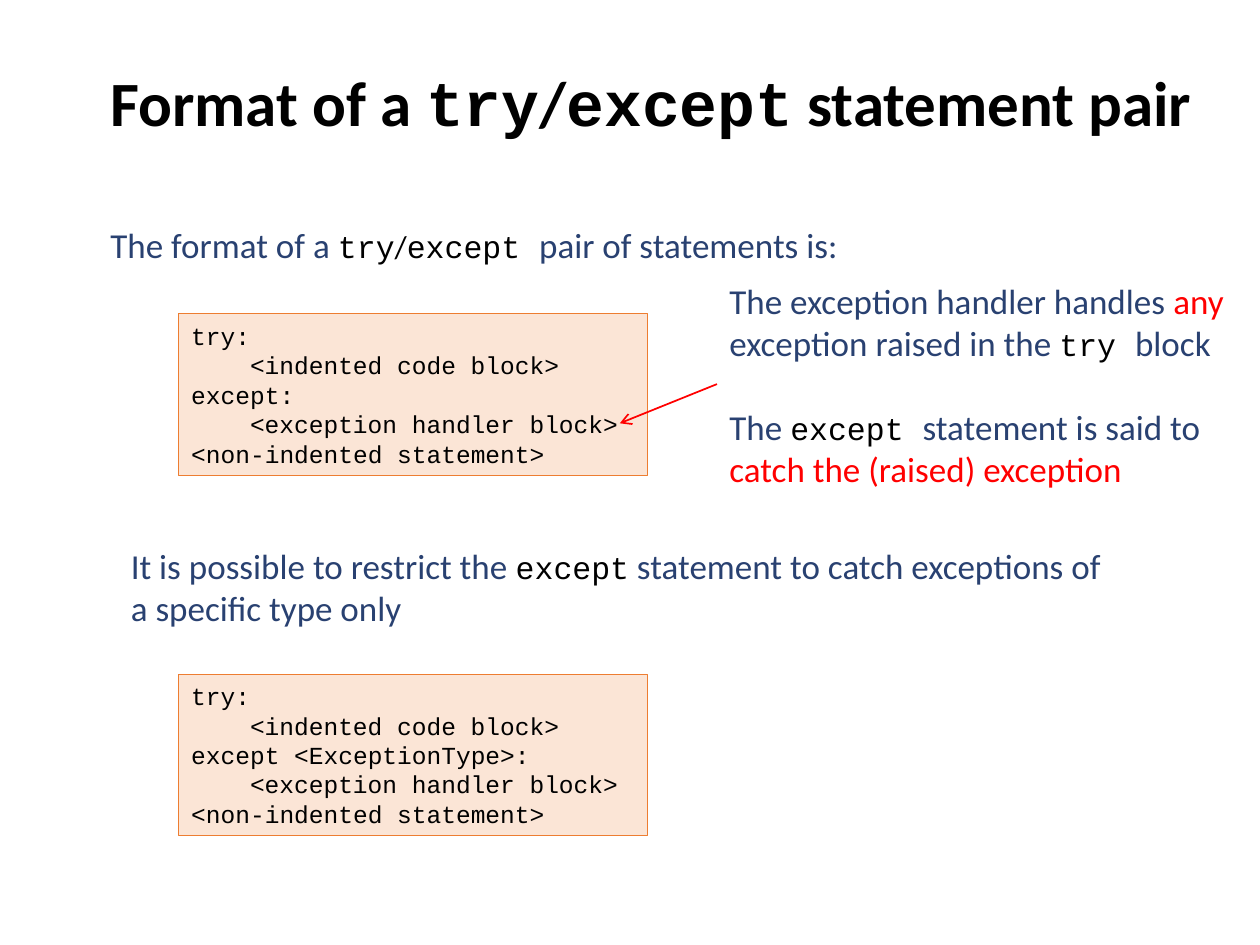
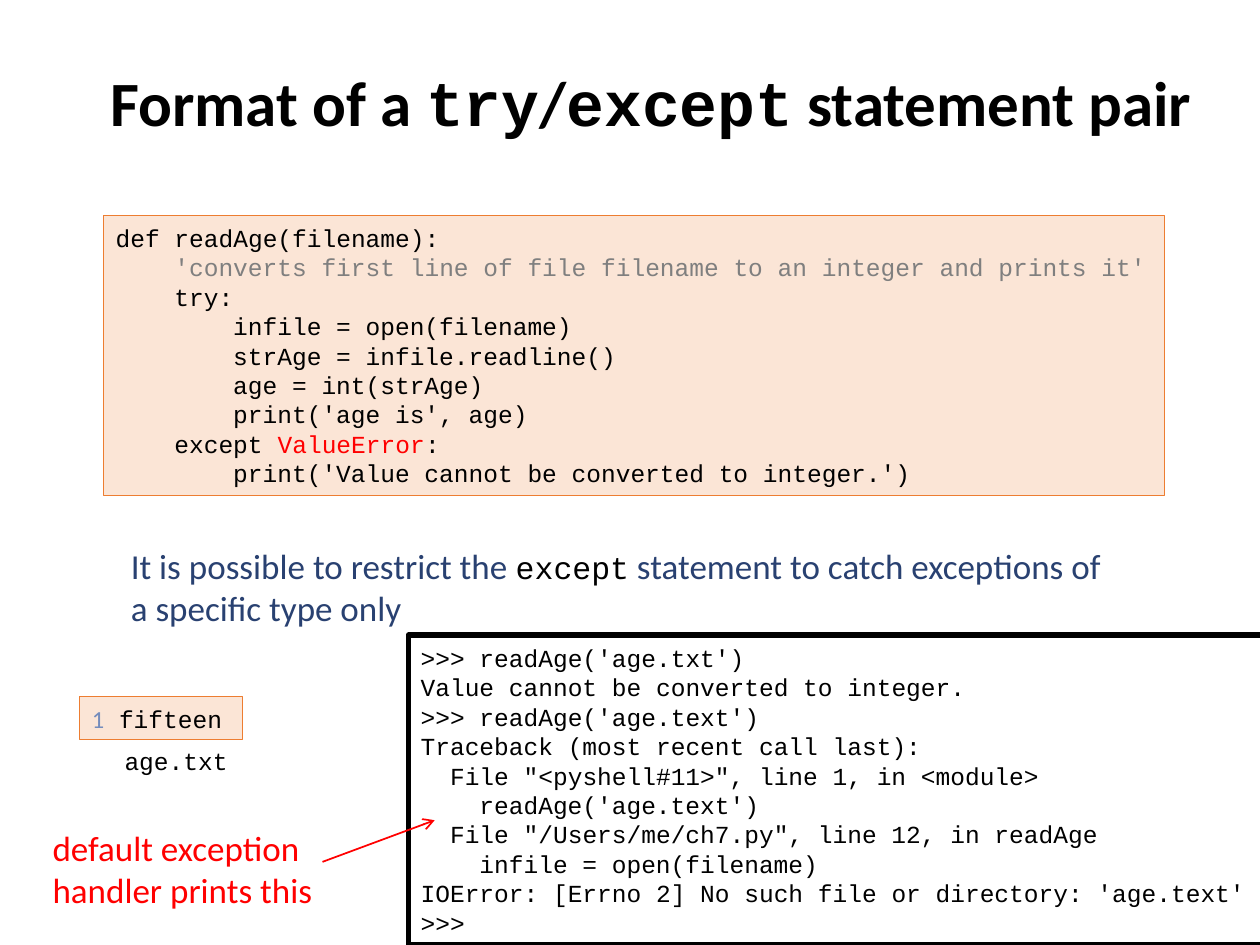
import pptx
import pptx.util
import pptx.dml.color
import pptx.enum.shapes
import pptx.enum.text
import pptx.oxml
import pptx.oxml.ns
import lxml.etree

Pt = pptx.util.Pt
RGB = pptx.dml.color.RGBColor
BLACK = RGB(0x00, 0x00, 0x00)
WHITE = RGB(0xFF, 0xFF, 0xFF)
NAVY = RGB(0x29, 0x41, 0x71)
RED = RGB(0xFF, 0x00, 0x00)
GREY = RGB(0x7F, 0x7F, 0x7F)
STEEL = RGB(0x74, 0x8C, 0xBC)
PEACH = RGB(0xFB, 0xE5, 0xD6)
ORANGE = RGB(0xED, 0x7D, 0x31)


def style(name, size, color, bold=False):
    """Return the format values of a run."""
    return {"name": name, "size": Pt(size), "bold": bold, "color": color}


HEAD = style("Calibri", 36, BLACK, True)
HEADMONO = style("Courier New", 36, BLACK, True)
BODY = style("Calibri", 20, NAVY)
ALERT = style("Calibri", 20, RED)
MONO = style("Courier New", 18, BLACK)
SLASH = style("Calibri", 18, BLACK)
CODE = style("Courier New", 14, BLACK)
QUOTE = style("Courier New", 14, GREY)
ERROR = style("Courier New", 14, RED)
COUNT = style("Calibri", 14, STEEL)
CHAR = 8.4  # advance of one 14 pt code letter

# A line is a list of (text, style) runs.
TITLE = [[("Format of a ", HEAD), ("try", HEADMONO), ("/", HEAD),
          ("except", HEADMONO), (" statement pair", HEAD)]]
INTRO = [[("The format of a ", BODY), ("try", MONO), ("/", SLASH),
          ("except ", MONO), ("pair of statements is:", BODY)]]
NOTE = [[("The exception handler handles ", BODY), ("any ", ALERT),
         ("exception raised in the ", BODY), ("try ", MONO), ("block", BODY)],
        [("The ", BODY), ("except ", MONO), ("statement is said to ", BODY),
         ("catch the (raised) exception", ALERT)]]
LIMIT = [[("It is possible to restrict the ", BODY), ("except", MONO),
          (" statement to catch exceptions of", BODY)],
         [("a specific type only", BODY)]]

# Code lines come as (indent in letters, text or runs).
READER = [
    (0, "def readAge(filename):"),
    (4, [("'converts first line of file filename to an integer"
          " and prints it'", QUOTE)]),
    (4, "try:"),
    (8, "infile = open(filename)"),
    (8, "strAge = infile.readline()"),
    (8, "age = int(strAge)"),
    (8, "print('age is', age)"),
    (4, [("except ", CODE), ("ValueError", ERROR), (":", CODE)]),
    (8, "print('Value cannot be converted to integer.')"),
]
SHELL = [
    (0, ">>> readAge('age.txt')"),
    (0, "Value cannot be converted to integer."),
    (0, ">>> readAge('age.text')"),
    (0, "Traceback (most recent call last):"),
    (2, "File \"<pyshell#11>\", line 1, in <module>"),
    (4, "readAge('age.text')"),
    (2, "File \"/Users/me/ch7.py\", line 12, in readAge"),
    (4, "infile = open(filename)"),
    (0, "IOError: [Errno 2] No such file or directory: 'age.text'"),
    (0, ">>> "),
]


def write(shape, lines, wrap=True, grow=True, gap=0):
    """Fill a shape with lines, left-aligned and centred in height."""
    frame = shape.text_frame
    fit = pptx.enum.text.MSO_AUTO_SIZE
    form = {"word_wrap": wrap,
            "vertical_anchor": pptx.enum.text.MSO_ANCHOR.MIDDLE,
            "auto_size": fit.SHAPE_TO_FIT_TEXT if grow else fit.NONE}
    for key, value in form.items():
        setattr(frame, key, value)
    for row, line in enumerate(lines):
        para = frame.add_paragraph() if row else frame.paragraphs[0]
        para.alignment = pptx.enum.text.PP_ALIGN.LEFT
        if row and gap:
            para.space_before = Pt(gap)
        for text, form in line:
            run = para.add_run()
            run.text = text
            for key, value in form.items():
                if key == "color":
                    run.font.color.rgb = value
                else:
                    setattr(run.font, key, value)


def label(slide, box, lines, **form):
    """Place plain text in a box."""
    shape = slide.shapes.add_textbox(*map(Pt, box))
    write(shape, lines, **form)


def panel(slide, box, code, fill=PEACH, edge=ORANGE, width=0.5):
    """Place a filled, outlined box of indented code."""
    shape = slide.shapes.add_shape(
        pptx.enum.shapes.MSO_SHAPE.RECTANGLE, *map(Pt, box))
    shape.shadow.inherit = False
    shape.fill.solid()
    shape.fill.fore_color.rgb = fill
    shape.line.color.rgb = edge
    shape.line.width = Pt(width)
    write(shape, [[(text, CODE)] if isinstance(text, str) else text
                  for _, text in code])
    for para, (depth, _) in zip(shape.text_frame.paragraphs, code):
        if depth:
            props = para._p.get_or_add_pPr()
            props.set("marL", str(int(Pt(depth * CHAR))))
            props.set("indent", "0")


def arrow(slide, start, end):
    """Draw a thin red arrow between two points."""
    line = slide.shapes.add_connector(
        pptx.enum.shapes.MSO_CONNECTOR.STRAIGHT, *map(Pt, start + end))
    line.line.color.rgb = RED
    line.line.width = Pt(1)
    name = pptx.oxml.ns.qn
    tail = lxml.etree.SubElement(line.line._get_or_add_ln(), name("a:tailEnd"))
    tail.set("type", "arrow")
    lxml.etree.SubElement(line._element.spPr, name("a:effectLst"))


def pair(slide, box, clause):
    """Show the try/except pattern with the given except clause."""
    panel(slide, box, [(0, "try:"), (4, "<indented code block>"),
                       (0, clause), (4, "<exception handler block>"),
                       (0, "<non-indented statement>")])


def note(slide, box):
    """Explain the handler, with an arrow from the left edge."""
    left, top = box[:2]
    label(slide, box, NOTE, gap=24)
    arrow(slide, (left, top + 64), (left - 55.5, top + 86.4))


def store(slide, box):
    """Show the text file, its name below its content."""
    left, top, width, height = box
    half = height / 2
    panel(slide, (left, top, width, half),
          [(0, [("1", COUNT), (" fifteen", CODE)])])
    label(slide, (left + 18.7, top + half, width - 18.7, half),
          [[("age.txt", CODE)]], wrap=False)


def remark(slide, box):
    """Point from a red remark to the traceback."""
    left, top = box[:2]
    label(slide, box, [[("default exception handler prints this", ALERT)]])
    arrow(slide, (left + 161.3, top + 23.8), (left + 225.4, top))


def base(deck):
    """Add a slide with the shared title and the shared statement."""
    slide = deck.slides.add_slide(deck.slide_layouts[6])
    label(slide, (56, 0, 665.3, 116), TITLE, grow=False)
    label(slide, (67.7, 307.4, 573.8, 55.4), LIMIT, wrap=False)
    return slide


def syntax(deck):
    """Build the slide on the two forms of the pattern."""
    slide = base(deck)
    label(slide, (56, 123.8, 440, 31.7), INTRO, wrap=False)
    for top, clause in ((179.3, "except:"),
                        (385.2, "except <ExceptionType>:")):
        pair(slide, (102.2, top, 267.8, 92.2), clause)
    note(slide, (409.7, 155.5, 310.3, 128.2))


def sample(deck):
    """Build the slide with the worked example."""
    slide = base(deck)
    panel(slide, (59, 123.1, 606.2, 159.8), READER)
    store(slide, (45.4, 398.2, 92.9, 48.8))
    panel(slide, (233.3, 362.9, 488.2, 177.1), SHELL, WHITE, BLACK, 3)
    remark(slide, (23, 468.7, 182.2, 55.4))


deck = pptx.Presentation()
deck.slide_width, deck.slide_height = Pt(720), Pt(540)
syntax(deck)
sample(deck)
deck.save("out.pptx")
